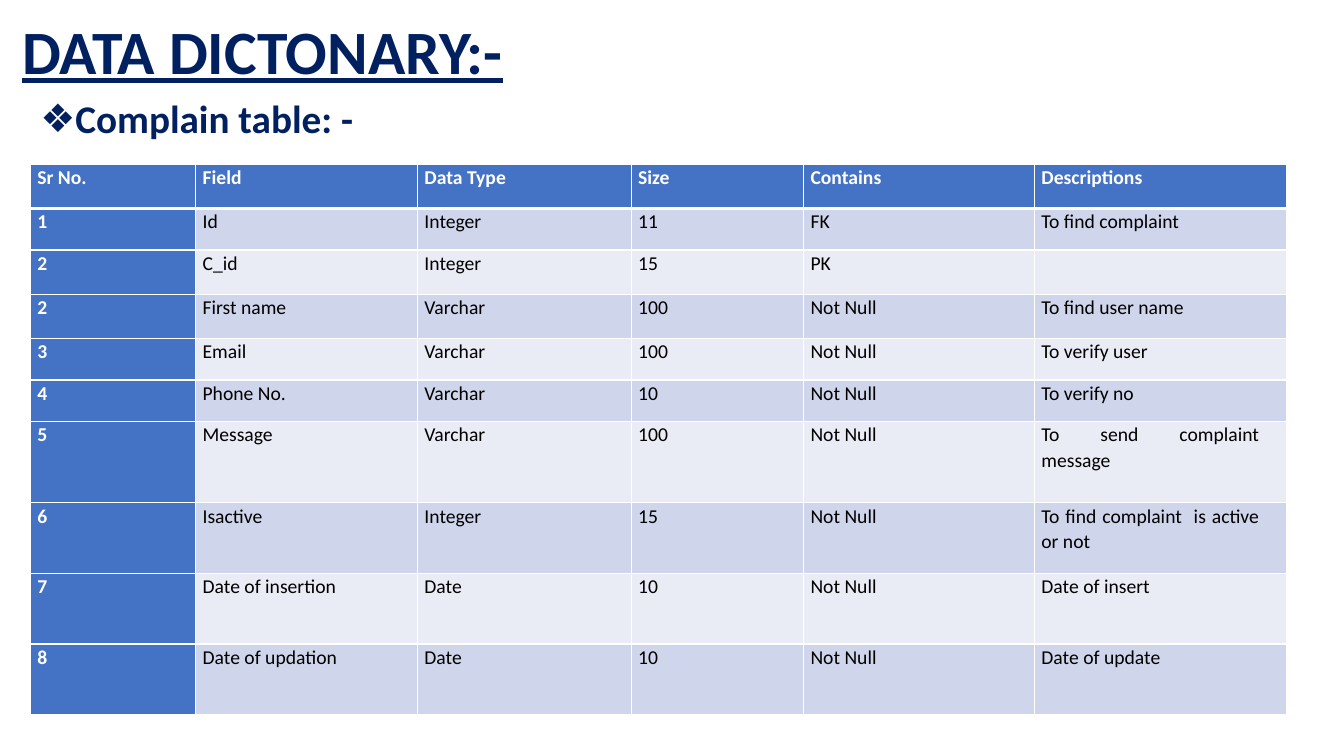
from dataclasses import dataclass

from lxml.etree import SubElement
from pptx import Presentation
from pptx.dml.color import RGBColor
from pptx.enum.text import MSO_ANCHOR, MSO_AUTO_SIZE, PP_ALIGN
from pptx.oxml.ns import qn
from pptx.util import Inches, Pt

FONT = "Calibri"
COLORS = {
    "navy": "002060",
    "blue": "4472C4",
    "dark": "CFD5EA",
    "light": "E9EBF5",
    "white": "FFFFFF",
    "black": "000000",
}


@dataclass
class Box:
    left: float
    top: float
    width: float
    height: float


@dataclass
class Row:
    height: float
    cells: tuple[str, ...]


TITLE = Box(0.12, 0.14, 12.29, 0.8)
BODY = Box(0.3, 0.94, 12.12, 5.82)
GRID = Box(0.3, 1.63, 12.46, 5.46)
WIDTHS = (1.64, 2.2, 2.12, 1.71, 2.29, 2.5)
ROWS = (
    Row(0.44, ("Sr No.", "Field", "Data Type", "Size", "Contains", "Descriptions")),
    Row(0.41, ("1", "Id", "Integer", "11", "FK", "To find complaint")),
    Row(0.44, ("2", "C_id", "Integer", "15", "PK", "")),
    Row(0.44, ("2", "First name", "Varchar", "100", "Not Null", "To find user name")),
    Row(0.41, ("3", "Email", "Varchar", "100", "Not Null", "To verify user")),
    Row(0.41, ("4", "Phone No.", "Varchar", "10", "Not Null", "To verify no")),
    Row(0.81, ("5", "Message", "Varchar", "100", "Not Null", "To send complaint message")),
    Row(0.7, ("6", "Isactive", "Integer", "15", "Not Null", "To find complaint  is active or not")),
    Row(0.7, ("7", "Date of insertion", "Date", "10", "Not Null", "Date of insert")),
    Row(0.7, ("8", "Date of updation", "Date", "10", "Not Null", "Date of update")),
)


def write(frame, text: str, *, size: float, color: str, bold: bool = False,
          line: bool = False, align=PP_ALIGN.LEFT, pitch: float = 0.9,
          after: float = 0, bullet: str = "") -> None:
    para = frame.paragraphs[0]
    para.alignment = align
    para.line_spacing = pitch
    para.space_before = Pt(0)
    para.space_after = Pt(after)
    if bullet:
        props = para._p.get_or_add_pPr()
        props.set("marL", str(Inches(0.25)))
        props.set("indent", str(-Inches(0.25)))
        SubElement(props, qn("a:buChar"), char=bullet)
    if text:
        run = para.add_run()
        run.text = text
        font = run.font
        font.name, font.size = FONT, Pt(size)
        font.bold, font.underline = bold, line
        font.color.rgb = RGBColor.from_string(COLORS[color])


def place(shape, box: Box, anchor) -> None:
    shape.left, shape.top = Inches(box.left), Inches(box.top)
    shape.width, shape.height = Inches(box.width), Inches(box.height)
    frame = shape.text_frame
    frame.auto_size = MSO_AUTO_SIZE.NONE
    frame.word_wrap = True
    frame.vertical_anchor = anchor


def edge(cell, side: str, width: float) -> None:
    props = cell._tc.get_or_add_tcPr()
    rule = SubElement(props, qn(f"a:ln{side}"), w=str(Pt(width)))
    fill = SubElement(rule, qn("a:solidFill"))
    SubElement(fill, qn("a:srgbClr"), val=COLORS["white"])


def style(cell, row: int, col: int) -> None:
    """Set the margins, borders and banded fill of one cell."""
    cell.margin_top = cell.margin_bottom = 0
    cell.margin_left = Inches(0.07)
    last = col == len(WIDTHS) - 1
    cell.margin_right = Inches(0.27 if last else 0.07)
    edge(cell, "L", 1)
    edge(cell, "R", 1)
    edge(cell, "T", 3 if row == 1 else 1)
    edge(cell, "B", 3 if row == 0 else 1)
    band = "dark" if row % 2 else "light"
    tone = "blue" if row == 0 or col == 0 else band
    cell.fill.solid()
    cell.fill.fore_color.rgb = RGBColor.from_string(COLORS[tone])


def draw_table(slide) -> None:
    table = slide.shapes.add_table(
        len(ROWS), len(WIDTHS), Inches(GRID.left), Inches(GRID.top),
        Inches(GRID.width), Inches(GRID.height)).table
    table.first_col = True
    for col, width in zip(table.columns, WIDTHS):
        col.width = Inches(width)
    for r, row in enumerate(ROWS):
        table.rows[r].height = Inches(row.height)
        for c, text in enumerate(row.cells):
            cell = table.cell(r, c)
            style(cell, r, c)
            head = r == 0 or c == 0
            write(cell.text_frame, text, size=14, bold=head,
                  color="white" if head else "black",
                  align=PP_ALIGN.JUSTIFY, pitch=1.07, after=0.5)


def main() -> None:
    deck = Presentation()
    deck.slide_width, deck.slide_height = Inches(13.33), Inches(7.5)
    slide = deck.slides.add_slide(deck.slide_layouts[1])
    title, body = slide.shapes.title, slide.placeholders[1]
    place(title, TITLE, MSO_ANCHOR.MIDDLE)
    write(title.text_frame, "DATA DICTONARY:-", size=44, color="navy",
          bold=True, line=True)
    place(body, BODY, MSO_ANCHOR.TOP)
    write(body.text_frame, "Complain table: -", size=28, color="navy",
          bold=True, bullet="❖")
    draw_table(slide)
    deck.save("out.pptx")


if __name__ == "__main__":
    main()
